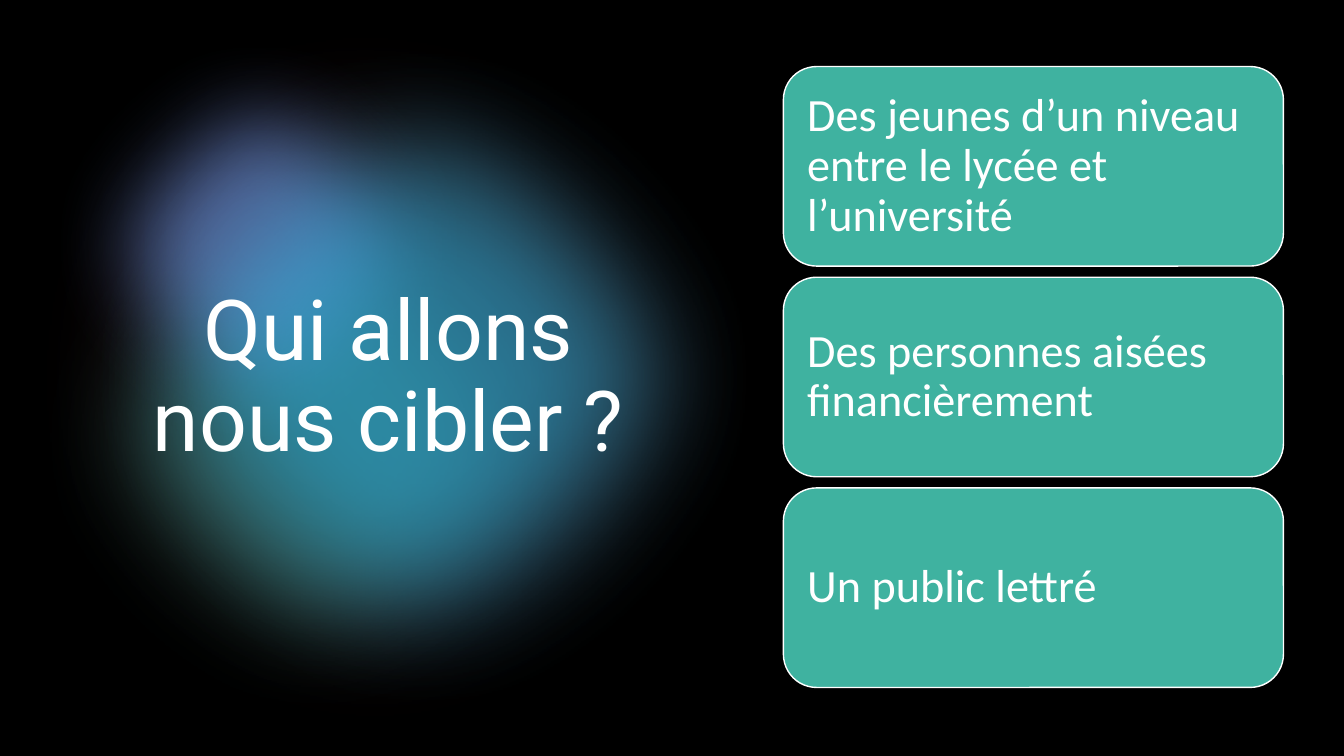
import math

from lxml import etree
from pptx import Presentation
from pptx.dml.color import RGBColor
from pptx.enum import shapes, text
from pptx.oxml import ns
from pptx.util import Inches, Pt

BLACK = RGBColor(0x00, 0x00, 0x00)
WHITE = RGBColor(0xFF, 0xFF, 0xFF)
TEAL = RGBColor(0x3F, 0xB2, 0xA0)
PERIWINKLE = RGBColor(0x71, 0x99, 0xEB)
SKY = RGBColor(0x2A, 0xAC, 0xDA)
MAROON = RGBColor(0x41, 0x24, 0x29)

GLOWS = [
    (0, 1.2, 6.3, TEAL, 40, 80),
    (0.2, 0.07, 4.72, PERIWINKLE, 60, 64),
    (0.45, 0, 7.5, SKY, 60, 90),
]
TARGETS = [
    "Des jeunes d’un niveau entre le lycée et l’université",
    "Des personnes aisées financièrement",
    "Un public lettré",
]


def style_glow(shape, color, opacity, softness):
    """Give a shape a translucent fill and a wide soft edge."""
    shape.fill.solid()
    shape.fill.fore_color.rgb = color
    shape.line.fill.background()
    shape.shadow.inherit = False
    properties = shape.element.spPr
    color_element = properties.find(ns.qn("a:solidFill"))[0]
    etree.SubElement(color_element, ns.qn("a:alpha"), val=str(opacity * 1000))
    effects = properties.find(ns.qn("a:effectLst"))
    etree.SubElement(effects, ns.qn("a:softEdge"), rad=str(Pt(softness)))


def reach(origin_x, origin_y, angle, left, top, size):
    """Return the distance from the origin to a circle's far side."""
    radius = size / 2
    offset_x, offset_y = left + radius - origin_x, top + radius - origin_y
    along = offset_x * math.cos(angle) + offset_y * math.sin(angle)
    return along + math.sqrt(along**2 + radius**2 - offset_x**2 - offset_y**2)


def add_glow_base(slide):
    """Add the joint outline of all glow circles."""
    origin_x, origin_y = 3.2, 3.7
    points = []
    for degree in range(0, 360, 15):
        angle = math.radians(degree)
        distance = max(reach(origin_x, origin_y, angle, *glow[:3]) for glow in GLOWS)
        points.append((Inches(origin_x + distance * math.cos(angle)),
                       Inches(origin_y + distance * math.sin(angle))))
    builder = slide.shapes.build_freeform(*points[0])
    builder.add_line_segments(points[1:], close=True)
    style_glow(builder.convert_to_shape(), MAROON, 60, 80)


def add_glow(slide, left, top, size, color, opacity, softness):
    """Add one soft circle."""
    shape = slide.shapes.add_shape(shapes.MSO_SHAPE.OVAL, Inches(left),
                                   Inches(top), Inches(size), Inches(size))
    style_glow(shape, color, opacity, softness)


def write(shape, wording, font_name, size, alignment):
    """Write one white paragraph, centred vertically."""
    frame = shape.text_frame
    frame.word_wrap = True
    frame.vertical_anchor = text.MSO_ANCHOR.MIDDLE
    paragraph = frame.paragraphs[0]
    paragraph.text = wording
    paragraph.alignment = alignment
    paragraph.line_spacing = 0.9
    paragraph.font.name = font_name
    paragraph.font.size = Pt(size)
    paragraph.font.color.rgb = WHITE


def add_title(slide, wording):
    """Add the slide's question over the glow."""
    box = slide.shapes.add_textbox(Inches(1.01), Inches(0.91), Inches(5.68), Inches(5.69))
    write(box, wording, "Roboto", 60, text.PP_ALIGN.CENTER)


def add_card(slide, top, wording):
    """Add one rounded card naming a target audience."""
    card = slide.shapes.add_shape(shapes.MSO_SHAPE.ROUNDED_RECTANGLE, Inches(7.77),
                                  Inches(top), Inches(4.96), Inches(1.98))
    card.shadow.inherit = False
    card.fill.solid()
    card.fill.fore_color.rgb = TEAL
    card.line.color.rgb = WHITE
    card.line.width = Pt(1)
    frame = card.text_frame
    frame.margin_left = frame.margin_right = Inches(0.14)
    frame.margin_top = frame.margin_bottom = Inches(0.14)
    write(card, wording, "Calibri", 33, text.PP_ALIGN.LEFT)


def main():
    """Build and save the slide."""
    presentation = Presentation()
    presentation.slide_width = Inches(13.33)
    presentation.slide_height = Inches(7.5)
    slide = presentation.slides.add_slide(presentation.slide_layouts[6])
    slide.background.fill.solid()
    slide.background.fill.fore_color.rgb = BLACK
    add_glow_base(slide)
    for glow in GLOWS:
        add_glow(slide, *glow)
    add_title(slide, "Qui allons nous cibler ?")
    for index, target in enumerate(TARGETS):
        add_card(slide, 0.66 + index * 2.09, target)
    presentation.save("out.pptx")


if __name__ == "__main__":
    main()
